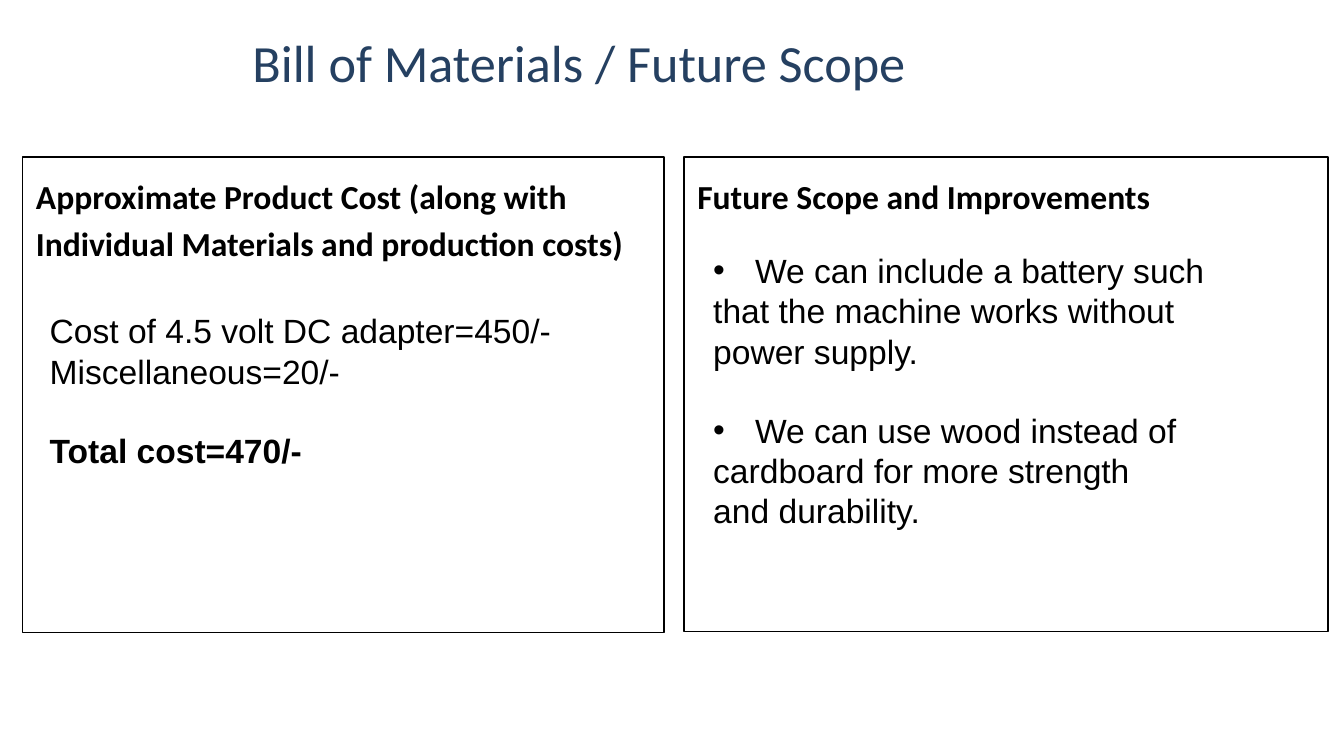
from lxml.etree import SubElement
from pptx import Presentation
from pptx.dml.color import RGBColor
from pptx.enum.shapes import MSO_SHAPE
from pptx.enum.text import MSO_ANCHOR, MSO_AUTO_SIZE, PP_ALIGN
from pptx.oxml.ns import qn
from pptx.util import Cm, Pt

NAVY = RGBColor(0x25, 0x40, 0x61)
BLACK = RGBColor(0x00, 0x00, 0x00)
HEADING_FONT = "Calibri"
BODY_FONT = "Arial"
TITLE_SIZE = Pt(28)
TEXT_SIZE = Pt(18)
GROUP_GAP = Pt(20.7)
INSET = Cm(0.25)
BULLET_INDENT = Cm(0.79)

COST_GROUPS = [
    ["Cost of 4.5 volt DC adapter=450/-", "Miscellaneous=20/-"],
    ["Total cost=470/-"],
]
SCOPE_GROUPS = [
    ["We can include a battery such", "that the machine works without", "power supply."],
    ["We can use wood instead of", "cardboard for more strength", "and durability."],
]


class SlideBuilder:
    def __init__(self, deck):
        self.slide = deck.slides.add_slide(deck.slide_layouts[5])

    def add_span(self, para, text, font, size=TEXT_SIZE, color=BLACK, bold=False):
        para.alignment = PP_ALIGN.LEFT
        span = para.add_run()
        span.text = text
        span.font.name = font
        span.font.size = size
        span.font.bold = bold
        span.font.color.rgb = color

    def inset_frame(self, frame):
        frame.word_wrap = True
        frame.vertical_anchor = MSO_ANCHOR.TOP
        frame.margin_left = frame.margin_right = INSET
        frame.margin_top = frame.margin_bottom = INSET

    def title(self, text, left, top, width, height):
        box = self.slide.shapes.title
        box.left, box.top, box.width, box.height = left, top, width, height
        frame = box.text_frame
        self.inset_frame(frame)
        frame.auto_size = MSO_AUTO_SIZE.NONE
        self.add_span(frame.paragraphs[0], text, HEADING_FONT, TITLE_SIZE, NAVY)

    def panel(self, heading, left, top, width, height):
        box = self.slide.shapes.add_shape(MSO_SHAPE.RECTANGLE, left, top, width, height)
        box.shadow.inherit = False
        box.fill.background()
        box.line.color.rgb = BLACK
        box.line.width = Pt(0.75)
        self.inset_frame(box.text_frame)
        para = box.text_frame.paragraphs[0]
        para.line_spacing = 1.15
        para.space_after = Pt(16)
        self.add_span(para, heading, HEADING_FONT, bold=True)

    def bullet(self, para):
        properties = para._p.get_or_add_pPr()
        properties.set("marL", str(BULLET_INDENT))
        properties.set("indent", str(-BULLET_INDENT))
        SubElement(properties, qn("a:buFont"), typeface=BODY_FONT)
        SubElement(properties, qn("a:buChar"), char="•")

    def text_groups(self, groups, left, top, width, height, bulleted=False, bold_last=False):
        box = self.slide.shapes.add_textbox(left, top, width, height)
        frame = box.text_frame
        frame.word_wrap = True
        frame.auto_size = MSO_AUTO_SIZE.SHAPE_TO_FIT_TEXT
        for group_index, lines in enumerate(groups):
            bold = bold_last and group_index == len(groups) - 1
            for line_index, line in enumerate(lines):
                first_line = line_index == 0
                new_group = first_line and group_index > 0
                para = frame.add_paragraph() if new_group or not first_line else frame.paragraphs[0]
                if new_group:
                    para.space_before = GROUP_GAP
                if bulleted and first_line:
                    self.bullet(para)
                self.add_span(para, line, BODY_FONT, bold=bold)


def main():
    deck = Presentation()
    deck.slide_width = Cm(25.4)
    deck.slide_height = Cm(14.29)
    page = SlideBuilder(deck)
    page.title("Bill of Materials / Future Scope", Cm(4.52), Cm(0.33), Cm(19.53), Cm(2.77))
    page.panel(
        "Approximate Product Cost (along with Individual Materials and production costs)",
        Cm(0.43), Cm(2.97), Cm(12.12), Cm(8.99),
    )
    page.panel("Future Scope and Improvements", Cm(12.93), Cm(2.97), Cm(12.17), Cm(8.97))
    page.text_groups(COST_GROUPS, Cm(0.69), Cm(5.74), Cm(10.08), Cm(3.33), bold_last=True)
    page.text_groups(SCOPE_GROUPS, Cm(13.23), Cm(4.6), Cm(10.08), Cm(5.64), bulleted=True)
    deck.save("out.pptx")


if __name__ == "__main__":
    main()
